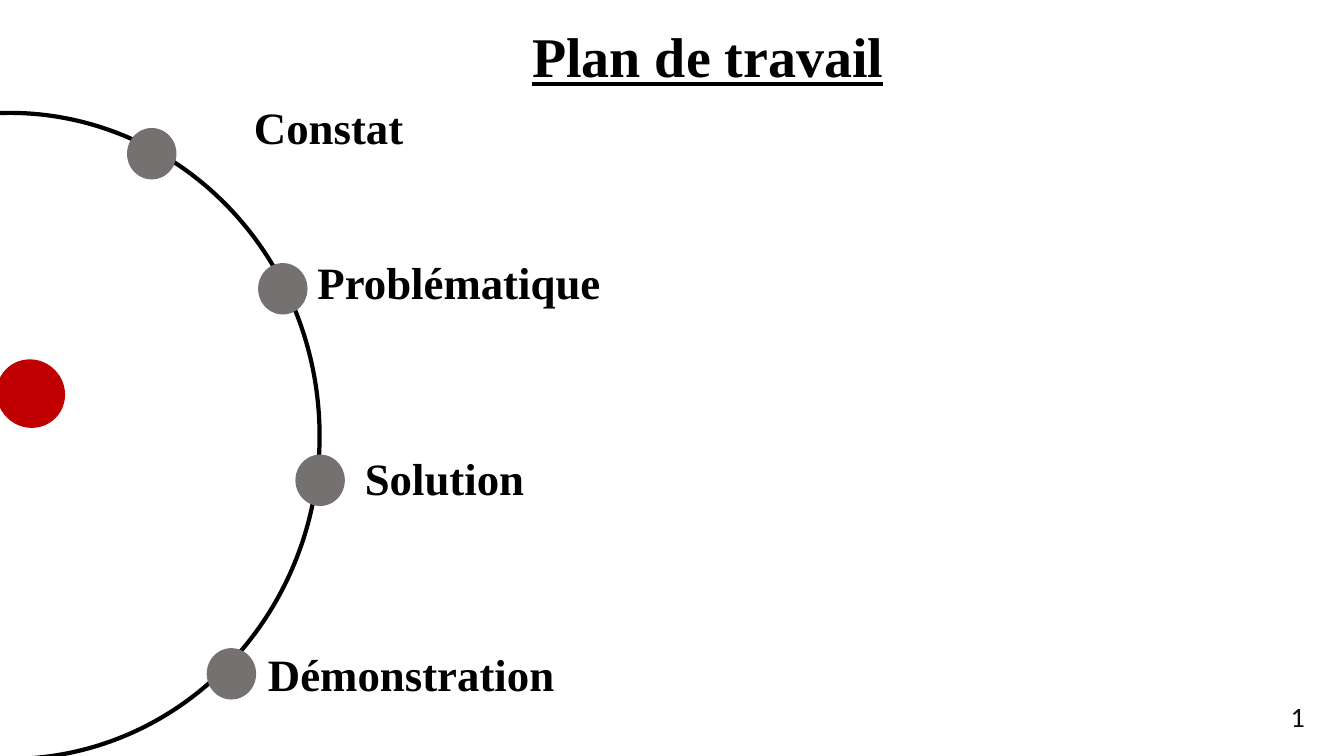
from pptx import Presentation
from pptx.dml.color import RGBColor
from pptx.enum.shapes import MSO_SHAPE
from pptx.enum.text import MSO_ANCHOR, MSO_AUTO_SIZE, PP_ALIGN
from pptx.util import Inches, Pt

OVAL, ARC = MSO_SHAPE.OVAL, MSO_SHAPE.ARC
TOP, MIDDLE = MSO_ANCHOR.TOP, MSO_ANCHOR.MIDDLE
LEFT, CENTER, RIGHT = PP_ALIGN.LEFT, PP_ALIGN.CENTER, PP_ALIGN.RIGHT
GROW, FIXED = MSO_AUTO_SIZE.SHAPE_TO_FIT_TEXT, MSO_AUTO_SIZE.NONE

BLACK, GREY, RED, INK = "000000", "767171", "C00000", "0D0D0D"
SERIF = {"name": "Times New Roman", "bold": True}
TITLE_FORMAT = {**SERIF, "size": Pt(40), "underline": True}
TOPIC_FORMAT = {**SERIF, "size": Pt(32)}
NUMBER_FORMAT = {"name": "Calibri", "size": Pt(20)}

# Arc ends in degrees, clockwise from three o'clock
ARC_START, ARC_END = 268.1, 92.14
ARC_UNIT = 60000 / 100000  # adjustment value per degree

DOT_SIZE = (0.49, 0.51)
# Topic, dot position, label box
TOPICS = [
    ("Constat", (1.26, 1.27), (2.42, 0.94, 3.11, 0.64)),
    ("Problématique", (2.56, 2.61), (3.05, 2.48, 3.62, 0.64)),
    ("Solution", (2.93, 4.51), (3.52, 4.42, 4.7, 0.64)),
    ("Démonstration", (2.05, 6.43), (2.56, 6.37, 4.7, 0.64)),
]


def color(value):
    return RGBColor.from_string(value)


def add_text(page, box, text, formats, hue=BLACK, align=LEFT, anchor=TOP, fit=FIXED):
    frame = page.shapes.add_textbox(*map(Inches, box)).text_frame
    frame.word_wrap = True
    frame.auto_size = fit
    frame.vertical_anchor = anchor
    para = frame.paragraphs[0]
    para.alignment = align
    span = para.add_run()
    span.text = text
    for key, value in formats.items():
        setattr(span.font, key, value)
    span.font.color.rgb = color(hue)


def add_dot(page, box, hue):
    dot = page.shapes.add_shape(OVAL, *map(Inches, box))
    dot.shadow.inherit = False
    dot.fill.solid()
    dot.fill.fore_color.rgb = color(hue)
    dot.line.fill.background()
    return dot


def add_wheel(page, box):
    left, top, width, height = box
    # Hub, placed from the corner of the wheel
    hub = add_dot(page, (left + 2.94, top + 2.45, 0.69, 0.67), RED)
    hub.rotation = 45
    # Rim
    rim = page.shapes.add_shape(ARC, *map(Inches, box))
    rim.shadow.inherit = False
    rim.fill.background()
    rim.line.color.rgb = color(BLACK)
    rim.line.width = Pt(3)
    rim.adjustments[0] = ARC_START * ARC_UNIT
    rim.adjustments[1] = ARC_END * ARC_UNIT


def add_topics(page, topics):
    for name, position, label_box in topics:
        add_dot(page, position + DOT_SIZE, GREY)
        add_text(page, label_box, name, TOPIC_FORMAT, fit=GROW)


def main():
    deck = Presentation()
    deck.slide_width, deck.slide_height = Inches(13.33), Inches(7.5)
    page = deck.slides.add_slide(deck.slide_layouts[6])

    add_wheel(page, (-2.98, 1.12, 6.15, 6.41))
    add_topics(page, TOPICS)
    # Title and page number
    add_text(page, (3.8, 0.16, 6.44, 0.78), "Plan de travail", TITLE_FORMAT,
             align=CENTER, anchor=MIDDLE)
    add_text(page, (10.04, 6.91, 3, 0.4), "1", NUMBER_FORMAT,
             hue=INK, align=RIGHT, anchor=MIDDLE)
    deck.save("out.pptx")


if __name__ == "__main__":
    main()
